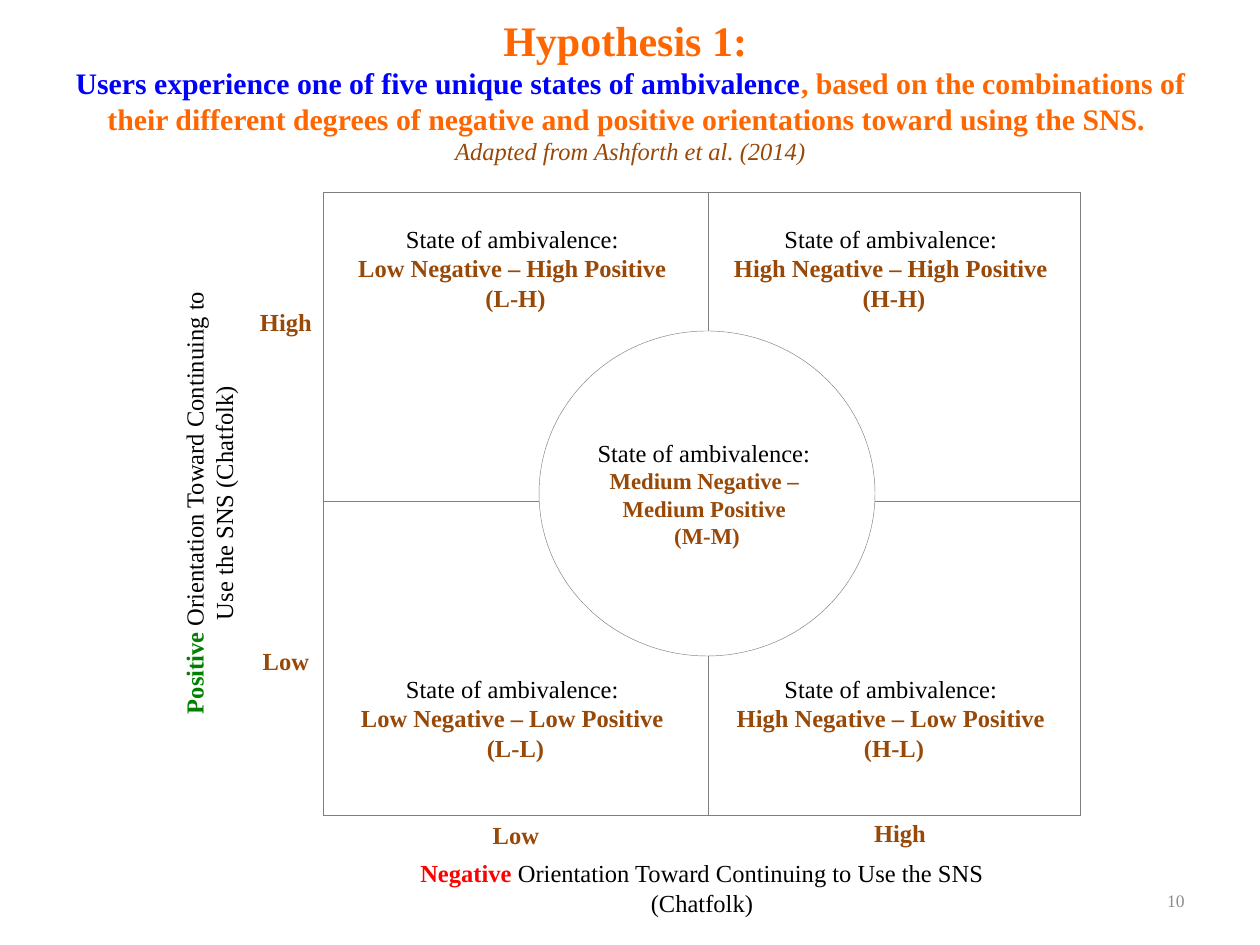
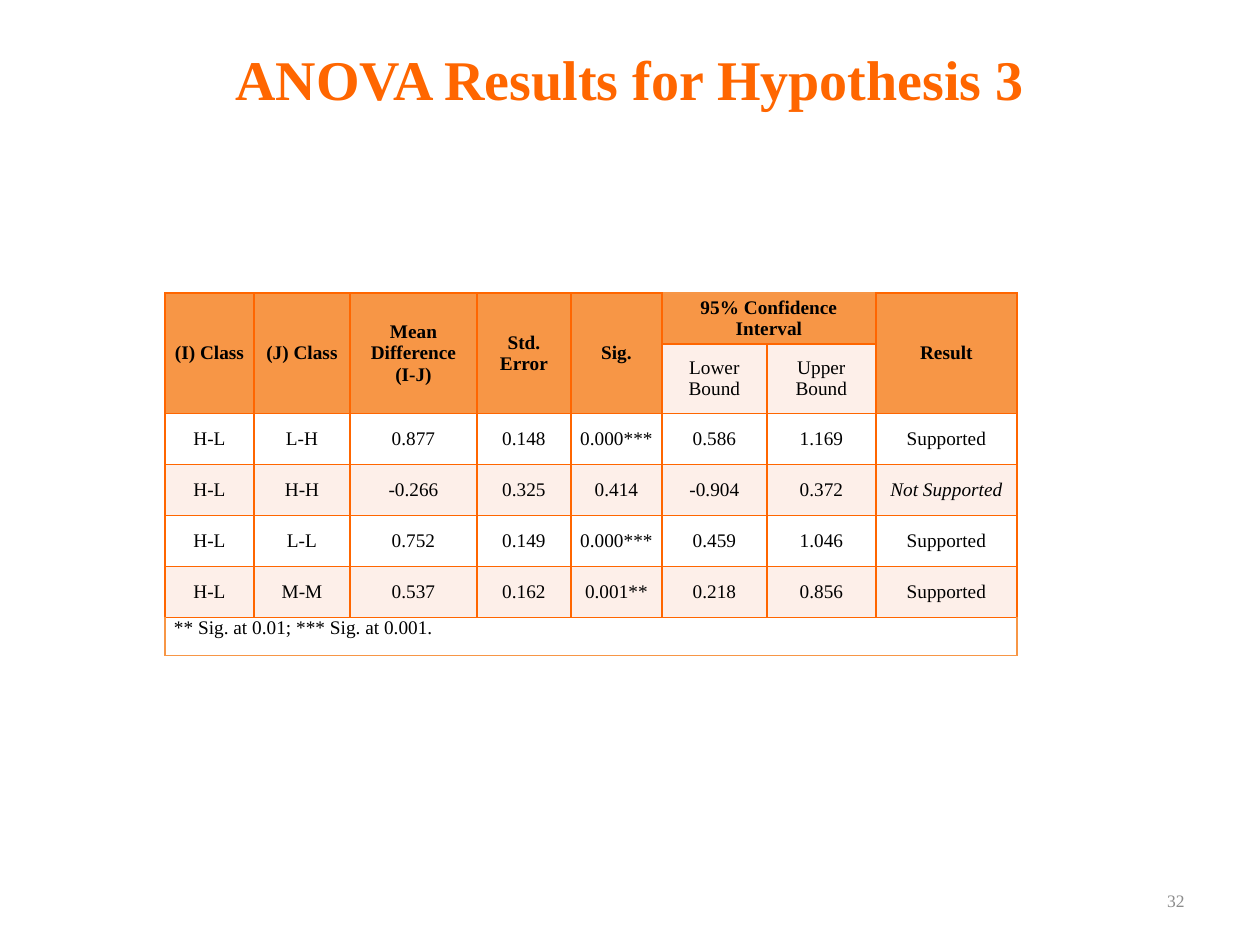
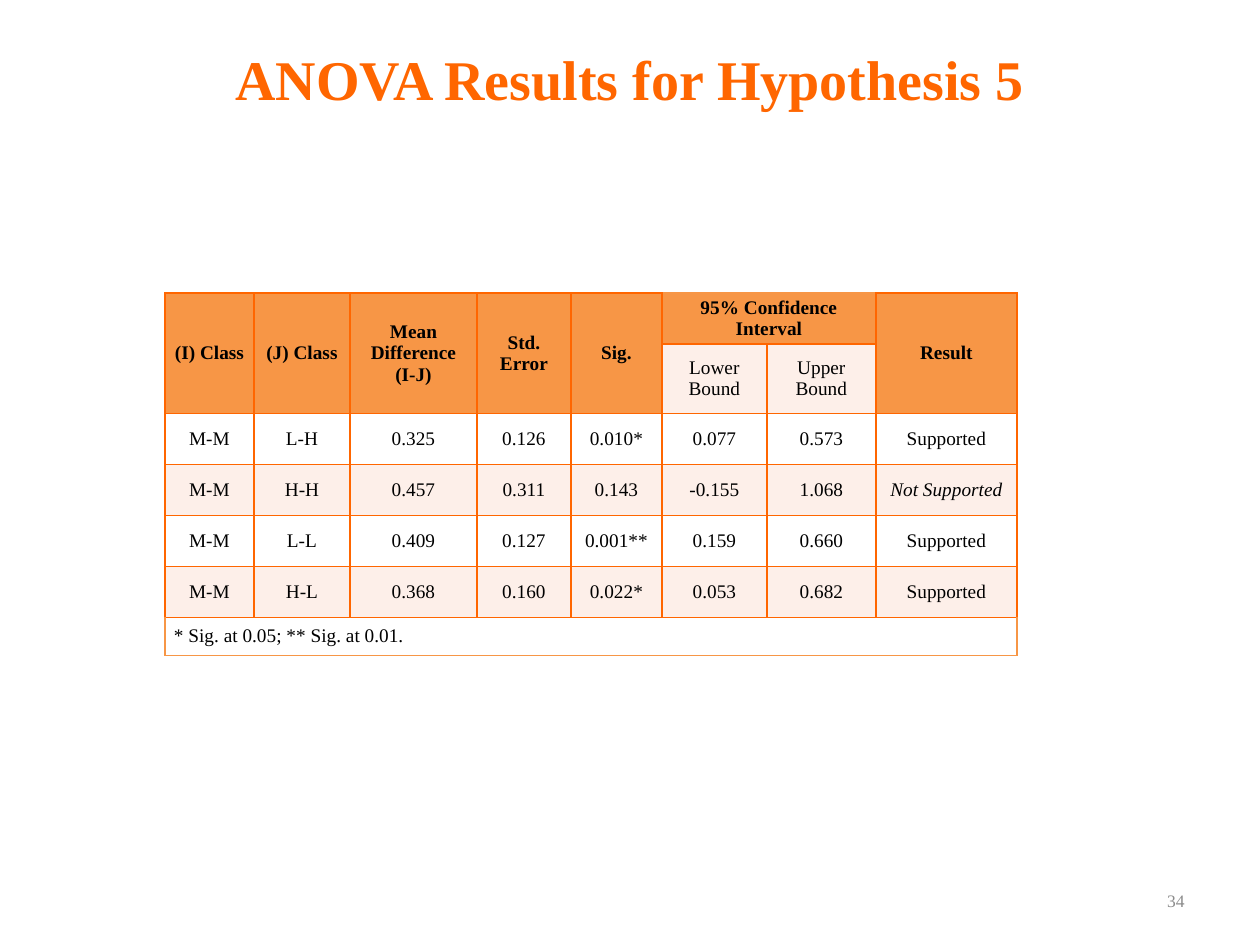
from lxml.etree import SubElement
from pptx import Presentation
from pptx.dml.color import RGBColor
from pptx.enum.shapes import MSO_SHAPE
from pptx.enum.text import MSO_ANCHOR, MSO_AUTO_SIZE, PP_ALIGN
from pptx.oxml.ns import qn
from pptx.util import Emu, Pt

FONT = "Times New Roman"
COLORS = {
    "orange": "FF6600", "header": "F79646", "band": "FDEFE9", "white": "FFFFFF",
    "black": "000000", "brown": "984807", "blue": "0000FF", "red": "FF0000",
    "green": "008000", "gray": "7F7F7F", "number": "8C8C8C",
}
NETWORK = "Chatfolk"
AXIS_TEXT = f" Orientation Toward Continuing to Use the SNS ({NETWORK})"

# Matrix edges, in pixels
LEFT, MIDDLE_X, RIGHT = 323, 708, 1080
TOP, MIDDLE_Y, BOTTOM = 192, 501, 815

COLUMN_WIDTHS = [89, 96, 127, 94, 91, 105, 109, 141]
ROW_HEIGHTS = [51] * 6 + [38]
HEADINGS = ["(I) Class", "(J) Class", "Mean Difference (I-J)", "Std. Error", "Sig.",
            "95% Confidence Interval", "", "Result"]
BOUNDS = {5: "Lower Bound", 6: "Upper Bound"}
HYPOTHESIS_3 = [
    ["H-L", "L-H", "0.877", "0.148", "0.000***", "0.586", "1.169", "Supported"],
    ["H-L", "H-H", "-0.266", "0.325", "0.414", "-0.904", "0.372", "Not Supported"],
    ["H-L", "L-L", "0.752", "0.149", "0.000***", "0.459", "1.046", "Supported"],
    ["H-L", "M-M", "0.537", "0.162", "0.001**", "0.218", "0.856", "Supported"],
]
HYPOTHESIS_5 = [
    ["M-M", "L-H", "0.325", "0.126", "0.010*", "0.077", "0.573", "Supported"],
    ["M-M", "H-H", "0.457", "0.311", "0.143", "-0.155", "1.068", "Not Supported"],
    ["M-M", "L-L", "0.409", "0.127", "0.001**", "0.159", "0.660", "Supported"],
    ["M-M", "H-L", "0.368", "0.160", "0.022*", "0.053", "0.682", "Supported"],
]


def px(length):
    """Turn pixels into EMU."""
    return Emu(round(length * 914400 / 126))


def rgb(name):
    """Look up a colour of the palette."""
    return RGBColor.from_string(COLORS[name])


def write(frame, text, *, size=14, color="black", bold=False, italic=False,
          align=PP_ALIGN.CENTER, after=0, new=False):
    """Write text in the last paragraph, or in a new one; newlines break lines."""
    paragraph = frame.add_paragraph() if new else frame.paragraphs[-1]
    paragraph.alignment = align
    paragraph.space_before, paragraph.space_after = Pt(0), Pt(after)
    for index, line in enumerate(text.split("\n")):
        if index:
            paragraph.add_line_break()
        run = paragraph.add_run()
        run.text = line
        font = run.font
        font.name, font.size = FONT, Pt(size)
        font.bold, font.italic = bold, italic
        font.color.rgb = rgb(color)


def add_text_box(slide, box, anchor=MSO_ANCHOR.TOP):
    """Add a wrapping text box and return it."""
    text_box = slide.shapes.add_textbox(*map(px, box))
    text_box.text_frame.word_wrap = True
    text_box.text_frame.vertical_anchor = anchor
    return text_box


def add_outline(slide, kind, box, fill=None, line="gray"):
    """Add a thinly outlined shape and return its text frame."""
    outline = slide.shapes.add_shape(kind, *map(px, box))
    outline.shadow.inherit = False
    if fill:
        outline.fill.solid()
        outline.fill.fore_color.rgb = rgb(fill)
    else:
        outline.fill.background()
    outline.line.color.rgb = rgb(line)
    outline.line.width = Pt(0.25)
    outline.text_frame.word_wrap = True
    return outline.text_frame


def add_slide(deck, number, title_box, anchor):
    """Add a numbered slide and return it with its title frame."""
    slide = deck.slides.add_slide(deck.slide_layouts[5])
    title = slide.shapes.title
    title.left, title.top, title.width, title.height = map(px, title_box)
    heading = title.text_frame
    heading.word_wrap = True
    heading.auto_size = MSO_AUTO_SIZE.NONE
    heading.vertical_anchor = anchor
    page = add_text_box(slide, (903, 876, 294, 50), MSO_ANCHOR.MIDDLE)
    write(page.text_frame, str(number), size=10, color="number", align=PP_ALIGN.RIGHT)
    return slide, heading


def add_state(frame, state, size=14):
    """Write one state of ambivalence."""
    write(frame, "State of ambivalence: ", size=14)
    write(frame, state, size=size, color="brown", bold=True, after=6, new=True)


def add_quadrant(slide, column, row, state):
    """Add one quadrant of the matrix, its text clear of the centre circle."""
    left, right = ((LEFT, MIDDLE_X), (MIDDLE_X, RIGHT))[column]
    top, bottom = ((TOP, MIDDLE_Y), (MIDDLE_Y, BOTTOM))[row]
    frame = add_outline(slide, MSO_SHAPE.RECTANGLE, (left, top, right - left, bottom - top))
    frame.vertical_anchor = MSO_ANCHOR.TOP
    frame.margin_top = px((32, 173)[row])
    add_state(frame, state)


def add_axis(slide, box, word, color, rotation=0):
    """Add the name of an axis, with its first word coloured."""
    axis = add_text_box(slide, box)
    axis.rotation = rotation
    write(axis.text_frame, word, color=color, bold=True)
    write(axis.text_frame, AXIS_TEXT)


def add_matrix_slide(deck):
    """Build the slide with the five states of ambivalence."""
    slide, heading = add_slide(deck, 10, (53, 8, 1155, 165), MSO_ANCHOR.TOP)
    write(heading, "Hypothesis 1: ", size=24, color="orange", bold=True)
    write(heading, "Users experience one of five unique states of ambivalence",
          size=17, color="blue", bold=True, new=True)
    write(heading, ", based on the combinations of their different degrees of negative "
          "and positive orientations toward using the SNS. ",
          size=17, color="orange", bold=True)
    write(heading, "Adapted from Ashforth et al. (2014)", color="brown", italic=True, new=True)

    add_outline(slide, MSO_SHAPE.RECTANGLE, (LEFT, TOP, RIGHT - LEFT, BOTTOM - TOP),
                fill="white", line="black")
    for level, left, top in (("Low", 458, 814), ("High", 842, 812),
                             ("Low", 228, 640), ("High", 228, 301)):
        write(add_text_box(slide, (left, top, 116, 42)).text_frame, level,
              color="brown", bold=True)
    add_quadrant(slide, 0, 0, "Low Negative – High Positive \n(L-H)")
    add_quadrant(slide, 1, 0, "High Negative – High Positive \n(H-H)")
    add_quadrant(slide, 1, 1, "High Negative – Low Positive \n(H-L)")
    add_quadrant(slide, 0, 1, "Low Negative – Low Positive \n(L-L)")
    add_axis(slide, (389, 852, 626, 72), "Negative", "red")
    add_axis(slide, (-34, 467, 486, 72), "Positive", "green", rotation=270)

    center = add_outline(slide, MSO_SHAPE.OVAL, (539, 331, 336, 325), fill="white")
    center.margin_left = center.margin_right = 0
    center.vertical_anchor = MSO_ANCHOR.MIDDLE
    add_state(center, "Medium Negative – \nMedium Positive \n(M-M)", size=13)


def set_borders(cell, **sides):
    """Draw the borders of a cell: orange, unless a side L, R, T or B names a colour."""
    properties = cell._tc.get_or_add_tcPr()
    for index, side in enumerate("LRTB"):
        line = SubElement(properties, qn(f"a:ln{side}"), w=str(Pt(1)))
        fill = SubElement(line, qn("a:solidFill"))
        SubElement(fill, qn("a:srgbClr"), val=COLORS[sides.get(side, "orange")])
        properties.insert(index, line)


def fill_cell(cell, text, fill, anchor=MSO_ANCHOR.MIDDLE, borders=None, **style):
    """Format a cell and write its text, if any."""
    cell.fill.solid()
    cell.fill.fore_color.rgb = rgb(fill)
    cell.vertical_anchor = anchor
    cell.margin_left = cell.margin_right = px(9)
    cell.margin_top = cell.margin_bottom = 0
    set_borders(cell, **(borders or {}))
    if text:
        write(cell.text_frame, text, size=11, **style)


def add_results_slide(deck, number, hypothesis, results, note, note_anchor):
    """Build a slide with a table of ANOVA results."""
    slide, heading = add_slide(deck, number, (63, 20, 1134, 117), MSO_ANCHOR.MIDDLE)
    write(heading, f"ANOVA Results for Hypothesis {hypothesis}",
          size=32, color="orange", bold=True)
    table = slide.shapes.add_table(
        len(ROW_HEIGHTS), len(COLUMN_WIDTHS),
        *map(px, (165, 293, sum(COLUMN_WIDTHS), sum(ROW_HEIGHTS)))).table
    table.first_row = table.horz_banding = False
    for column, width in zip(table.columns, COLUMN_WIDTHS):
        column.width = px(width)
    for row, height in zip(table.rows, ROW_HEIGHTS):
        row.height = px(height)

    last_row, last_column = len(ROW_HEIGHTS) - 1, len(COLUMN_WIDTHS) - 1
    for column, title in enumerate(HEADINGS):
        in_interval = column in BOUNDS
        fill_cell(table.cell(0, column), title, "header", bold=True,
                  borders={"T": "header"} if in_interval else None)
        fill_cell(table.cell(1, column), BOUNDS.get(column, ""),
                  "band" if in_interval else "header")
        if not in_interval:
            table.cell(0, column).merge(table.cell(1, column))
        fill_cell(table.cell(last_row, column), "" if column else note, "white",
                  anchor=note_anchor, align=PP_ALIGN.LEFT,
                  borders=dict.fromkeys("LRB", "header"))
    table.cell(0, min(BOUNDS)).merge(table.cell(0, max(BOUNDS)))
    table.cell(last_row, 0).merge(table.cell(last_row, last_column))

    for row, values in enumerate(results):
        for column, value in enumerate(values):
            fill_cell(table.cell(row + 2, column), value, ("white", "band")[row % 2],
                      italic=value == "Not Supported")


def main():
    """Build the deck and save it."""
    deck = Presentation()
    deck.slide_width, deck.slide_height = px(1260), px(945)
    add_matrix_slide(deck)
    add_results_slide(deck, 32, 3, HYPOTHESIS_3,
                      "** Sig. at 0.01; *** Sig. at 0.001.", MSO_ANCHOR.TOP)
    add_results_slide(deck, 34, 5, HYPOTHESIS_5,
                      "* Sig. at 0.05; ** Sig. at 0.01.", MSO_ANCHOR.MIDDLE)
    deck.save("out.pptx")


main()
